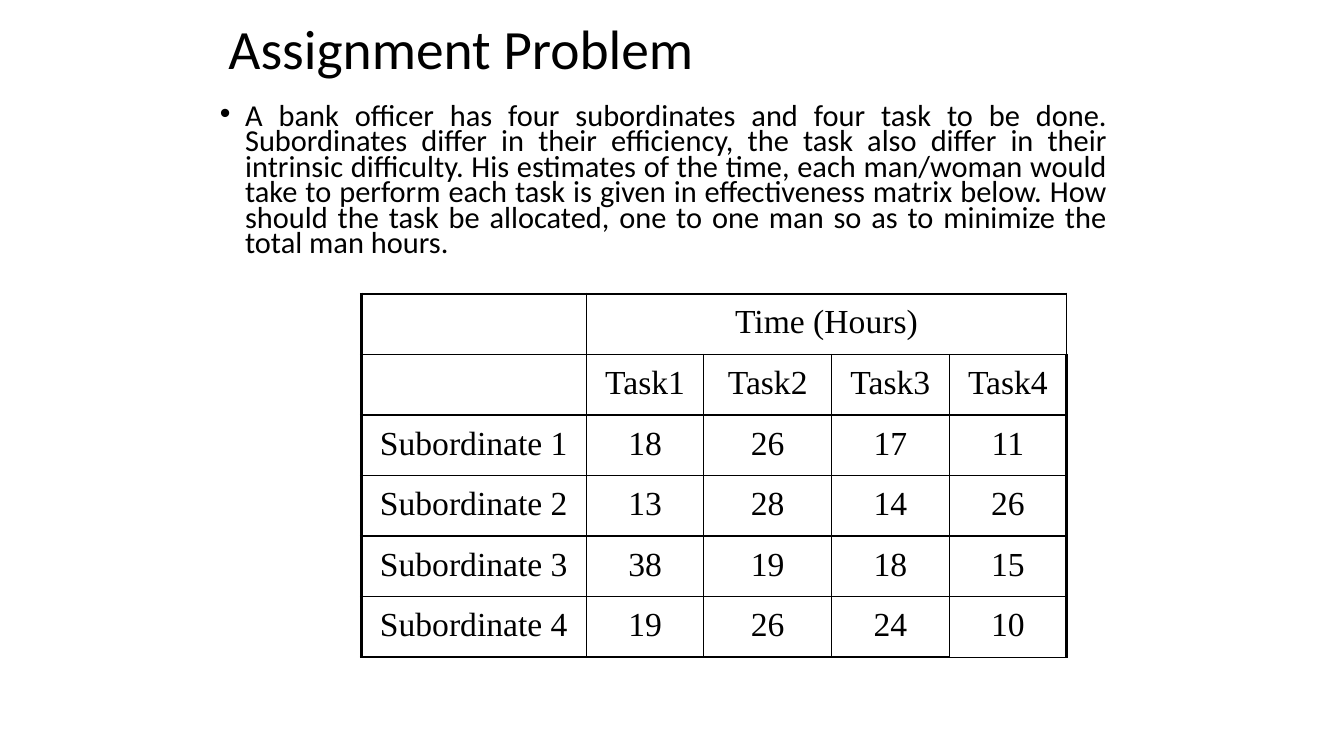
from lxml import etree
from pptx import Presentation
from pptx.dml.color import RGBColor
from pptx.enum.text import MSO_ANCHOR, MSO_AUTO_SIZE, PP_ALIGN
from pptx.oxml.ns import qn
from pptx.util import Inches, Pt

LEFT, CENTER, JUSTIFY = PP_ALIGN.LEFT, PP_ALIGN.CENTER, PP_ALIGN.JUSTIFY
MIDDLE = MSO_ANCHOR.MIDDLE
NO_AUTOFIT = MSO_AUTO_SIZE.NONE
TITLE_ONLY = 5
GRID_COLUMNS, GRID_ROWS = 160, 90
THIN, THICK = 1, 2.25

PROBLEM = (
    "A bank officer has four subordinates and four task to be done. "
    "Subordinates differ in their efficiency, the task also differ in their "
    "intrinsic difficulty. His estimates of the time, each man/woman would "
    "take to perform each task is given in effectiveness matrix below. How "
    "should the task be allocated, one to one man so as to minimize the "
    "total man hours."
)
HOURS = [[18, 26, 17, 11], [13, 28, 14, 26], [38, 19, 18, 15], [19, 26, 24, 10]]
MATRIX = [
    ["", "Time (Hours)", "", "", ""],
    ["", *(f"Task{task}" for task in range(1, 5))],
    *([f"Subordinate {number}", *hours] for number, hours in enumerate(HOURS, 1)),
]


def color(value):
    return RGBColor.from_string(value)


class AssignmentSlide:
    ink = "000000"
    text_font = "Calibri"
    table_font = "Times New Roman"

    def __init__(self, presentation):
        self.unit_x = presentation.slide_width / GRID_COLUMNS
        self.unit_y = presentation.slide_height / GRID_ROWS
        self.slide = presentation.slides.add_slide(presentation.slide_layouts[TITLE_ONLY])

    def x(self, columns):
        return round(columns * self.unit_x)

    def y(self, rows):
        return round(rows * self.unit_y)

    def box(self, left, top, width, height):
        return self.x(left), self.y(top), self.x(width), self.y(height)

    def style(self, paragraph, size, font, alignment):
        paragraph.alignment = alignment
        paragraph.font.size = Pt(size)
        paragraph.font.name = font
        paragraph.font.color.rgb = color(self.ink)

    def title(self, text, area, size):
        heading = self.slide.shapes.title
        heading.left, heading.top, heading.width, heading.height = self.box(*area)
        frame = heading.text_frame
        frame.text = text
        frame.vertical_anchor = MIDDLE
        frame.auto_size = NO_AUTOFIT
        paragraph = frame.paragraphs[0]
        paragraph.line_spacing = 0.9
        self.style(paragraph, size, self.text_font, LEFT)

    def bullet(self, text, area, size):
        frame = self.slide.shapes.add_textbox(*self.box(*area)).text_frame
        frame.word_wrap = True
        frame.text = text
        paragraph = frame.paragraphs[0]
        paragraph.line_spacing = 0.7
        paragraph.space_before = Pt(10)
        self.style(paragraph, size, self.text_font, JUSTIFY)
        properties = paragraph._p.get_or_add_pPr()
        properties.set("marL", str(Inches(0.25)))
        properties.set("indent", str(-Inches(0.25)))
        etree.SubElement(properties, qn("a:buFont")).set("typeface", "Arial")
        etree.SubElement(properties, qn("a:buChar")).set("char", "•")
        properties.append(properties.find(qn("a:defRPr")))

    def borders(self, cell, widths):
        properties = cell._tc.get_or_add_tcPr()
        for side, width in zip("LRTB", widths):
            line = etree.SubElement(properties, qn(f"a:ln{side}"), w=str(Pt(width)))
            fill = etree.SubElement(line, qn("a:solidFill"))
            etree.SubElement(fill, qn("a:srgbClr")).set("val", self.ink)

    def matrix(self, values, area, column_widths, size):
        last_row, last_column = len(values) - 1, len(column_widths) - 1
        frame = self.slide.shapes.add_table(len(values), len(column_widths), *self.box(*area))
        table = frame.table
        table.first_row = table.horz_banding = False
        for column, width in zip(table.columns, column_widths):
            column.width = self.x(width)
        for row_index, row in enumerate(values):
            for column_index, value in enumerate(row):
                cell = table.cell(row_index, column_index)
                cell.margin_left = cell.margin_right = Inches(0.1)
                cell.margin_top = cell.margin_bottom = Inches(0.1)
                cell.text = str(value)
                self.style(cell.text_frame.paragraphs[0], size, self.table_font, CENTER)
                thick_sides = (
                    column_index == 0,
                    column_index == last_column,
                    row_index == 0,
                    row_index == last_row and column_index < last_column,
                )
                self.borders(cell, [THICK if thick else THIN for thick in thick_sides])
                cell.fill.background()
        table.cell(0, 1).merge(table.cell(0, last_column))


def main():
    presentation = Presentation()
    presentation.slide_width = Inches(13.33)
    presentation.slide_height = Inches(7.5)
    slide = AssignmentSlide(presentation)
    slide.title("Assignment Problem", (26, 2, 104.4, 8.3), 39.6)
    slide.bullet(PROBLEM, (25, 12, 108, 20.2), 21.7)
    slide.matrix(MATRIX, (43, 35, 84, 43.2), (26.8, 14, 15.2, 14, 14), 24)
    presentation.save("out.pptx")


if __name__ == "__main__":
    main()
